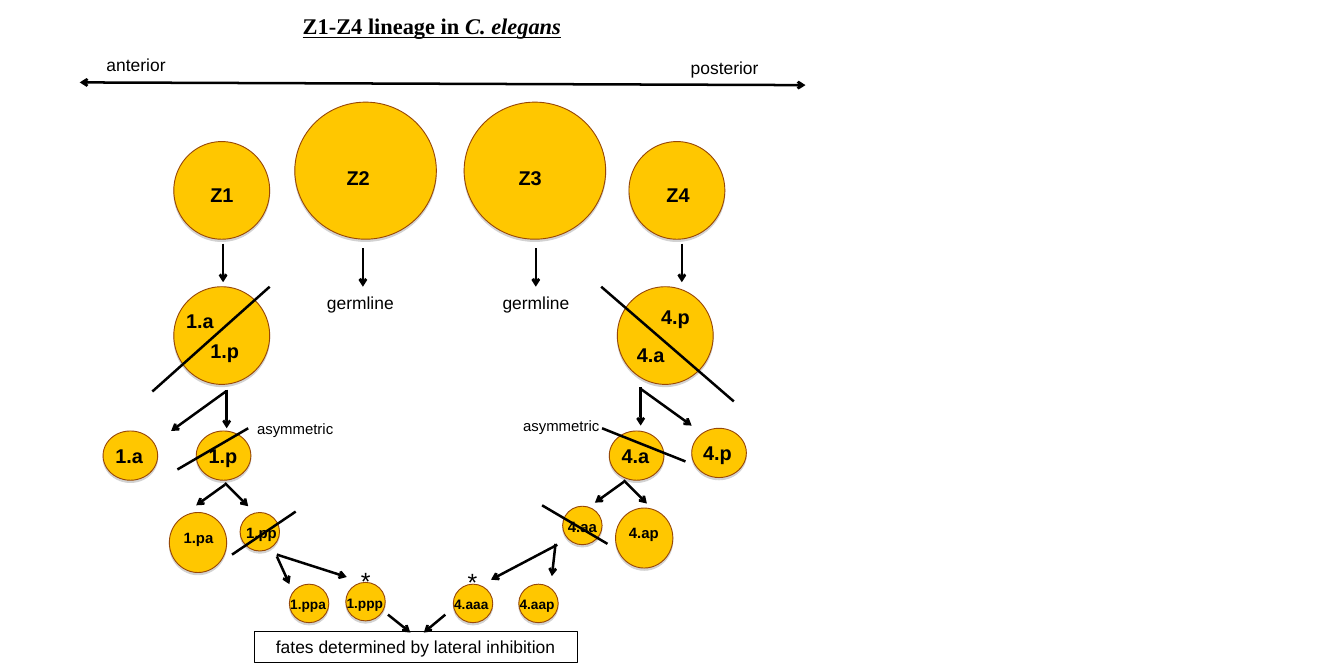
import pptx
import pptx.util
import pptx.dml.color
import pptx.enum.shapes
import pptx.enum.text
import pptx.oxml
import pptx.oxml.ns
import lxml.etree

Inches, Pt = pptx.util.Inches, pptx.util.Pt
RGB = pptx.dml.color.RGBColor.from_string
SHAPE = pptx.enum.shapes.MSO_SHAPE
CENTER = pptx.enum.text.PP_ALIGN.CENTER
COLORS = {"ink": "000000", "cell": "FFC700", "rim": "984807", "shadow": "808080"}

prs = pptx.Presentation()
prs.slide_width, prs.slide_height = Inches(15), Inches(7.5)
s = prs.slides.add_slide(prs.slide_layouts[6])


def add_text(text, x, y, w, h, size, bold=False):
    sp = s.shapes.add_textbox(Inches(x), Inches(y), Inches(w), Inches(h))
    tf = sp.text_frame
    tf.word_wrap = True
    tf.text = text
    font = tf.paragraphs[0].runs[0].font
    font.name, font.size, font.bold = "Arial", Pt(size), bold
    font.color.rgb = RGB(COLORS["ink"])
    return sp


def add_line(x1, y1, x2, y2, ends=()):
    sp = s.shapes.add_connector(pptx.enum.shapes.MSO_CONNECTOR.STRAIGHT,
                                Inches(x1), Inches(y1), Inches(x2), Inches(y2))
    sp.line.color.rgb = RGB(COLORS["ink"])
    sp.line.width = Pt(2)
    ln = sp.line._get_or_add_ln()
    for end in ends:
        lxml.etree.SubElement(ln, pptx.oxml.ns.qn("a:" + end), type="arrow")
    lxml.etree.SubElement(sp._element.spPr, pptx.oxml.ns.qn("a:effectLst"))


# Cells, grouped by size: (width, height) -> top left corners
cells = {
    (1.07, 1.09): [(1.94, 1.58), (7.02, 1.58), (1.94, 3.2), (6.89, 3.2)],
    (1.58, 1.53): [(3.29, 1.14), (5.18, 1.14)],
    (0.61, 0.55): [(1.15, 4.81), (2.19, 4.81), (6.8, 4.81), (7.72, 4.78)],
    (0.64, 0.67): [(1.89, 5.72), (6.87, 5.67)],
    (0.44, 0.43): [(2.68, 5.72), (6.28, 5.65), (3.23, 6.52), (3.86, 6.5),
                   (5.06, 6.52), (5.79, 6.52)],
}
shadow_xml = (
    '<a:outerShdw xmlns:a="http://schemas.openxmlformats.org/drawingml/2006/main" '
    'dist="22860" dir="5400000" algn="ctr" rotWithShape="0">'
    f'<a:srgbClr val="{COLORS["shadow"]}"><a:alpha val="35000"/></a:srgbClr></a:outerShdw>')
for (w, h), corners in cells.items():
    for x, y in corners:
        sp = s.shapes.add_shape(SHAPE.OVAL, Inches(x), Inches(y), Inches(w), Inches(h))
        sp.fill.solid()
        sp.fill.fore_color.rgb = RGB(COLORS["cell"])
        sp.line.color.rgb = RGB(COLORS["rim"])
        sp.line.width = Pt(0.75)
        sp.shadow.inherit = False
        effects = sp._element.spPr.find(pptx.oxml.ns.qn("a:effectLst"))
        effects.append(pptx.oxml.parse_xml(shadow_xml))

# Labels, grouped by style: (width, height, size, bold) -> text and corner
labels = {
    (0.54, 0.37, 16, True): [
        ("Z1", 2.25, 1.99), ("Z2", 3.77, 1.8), ("Z3", 5.69, 1.8), ("Z4", 7.34, 1.99),
        ("1.a", 1.98, 3.39), ("1.p", 2.25, 3.73), ("4.p", 7.28, 3.35), ("4.a", 7.01, 3.77),
        ("1.a", 1.19, 4.9), ("1.p", 2.23, 4.9), ("4.a", 6.84, 4.9), ("4.p", 7.75, 4.87)],
    (0.56, 0.3, 12, True): [
        ("1.pa", 1.95, 5.85), ("1.pp", 2.65, 5.8), ("4.aa", 6.24, 5.73), ("4.ap", 6.92, 5.79)],
    (0.63, 0.29, 11, True): [
        ("1.ppa", 3.14, 6.6), ("1.ppp", 3.77, 6.59), ("4.aaa", 4.97, 6.6), ("4.aap", 5.7, 6.6)],
    (1.18, 0.34, 14, False): [
        ("anterior", 1.09, 0.56), ("posterior", 7.61, 0.59),
        ("germline", 3.55, 3.21), ("germline", 5.51, 3.21)],
    (1.18, 0.3, 12, False): [("asymmetric", 2.77, 4.63), ("asymmetric", 5.74, 4.6)],
    (0.28, 0.44, 20, False): [("*", 3.93, 6.26), ("*", 5.12, 6.27)],
}
for style, items in labels.items():
    for text, x, y in items:
        add_text(text, x, y, *style)

# Body axis
add_line(0.89, 0.92, 8.99, 0.95, ("headEnd", "tailEnd"))

# Division planes
for plane in [(1.7, 4.37, 3.01, 3.2), (6.71, 3.2, 8.19, 4.48),
              (1.98, 5.24, 2.77, 4.78), (6.72, 4.78, 7.65, 5.15),
              (2.59, 6.19, 3.3, 5.71), (6.05, 5.64, 6.78, 6.07)]:
    add_line(*plane)

# Straight-down lineage arrows, all of one length
for x, y in [(2.49, 2.72), (4.05, 2.77), (5.98, 2.77), (7.61, 2.72),
             (2.53, 4.35), (7.15, 4.32)]:
    add_line(x, y, x, y + 0.43, ("tailEnd",))

# Slanted lineage arrows
for arrow in [(2.52, 4.37, 1.91, 4.81), (7.15, 4.34, 7.72, 4.75),
              (2.51, 5.39, 2.77, 5.65), (2.51, 5.41, 2.19, 5.64),
              (6.96, 5.36, 7.22, 5.62), (6.96, 5.38, 6.64, 5.61),
              (3.09, 6.19, 3.87, 6.44), (3.09, 6.21, 3.23, 6.52),
              (6.2, 6.07, 6.16, 6.43), (6.22, 6.08, 5.48, 6.47),
              (4.33, 6.86, 4.58, 7.06), (4.97, 6.86, 4.73, 7.06)]:
    add_line(*arrow, ("tailEnd",))

# Outcome box
sp = add_text("fates determined by lateral inhibition", 2.84, 7.05, 3.6, 0.34, 14)
sp.text_frame.paragraphs[0].alignment = CENTER
sp.line.color.rgb = RGB(COLORS["ink"])
sp.line.width = Pt(0.75)

# Title
sp = add_text("Z1-Z4 lineage in ", 2.85, 0.09, 3.94, 0.7, 18)
p = sp.text_frame.paragraphs[0]
p.alignment = CENTER
r = p.add_run()
r.text = "C. elegans"
r.font.italic = True
for r in p.runs:
    r.font.name, r.font.size = "Times New Roman", Pt(18)
    r.font.bold = r.font.underline = True
    r.font.color.rgb = RGB(COLORS["ink"])

prs.save("out.pptx")
